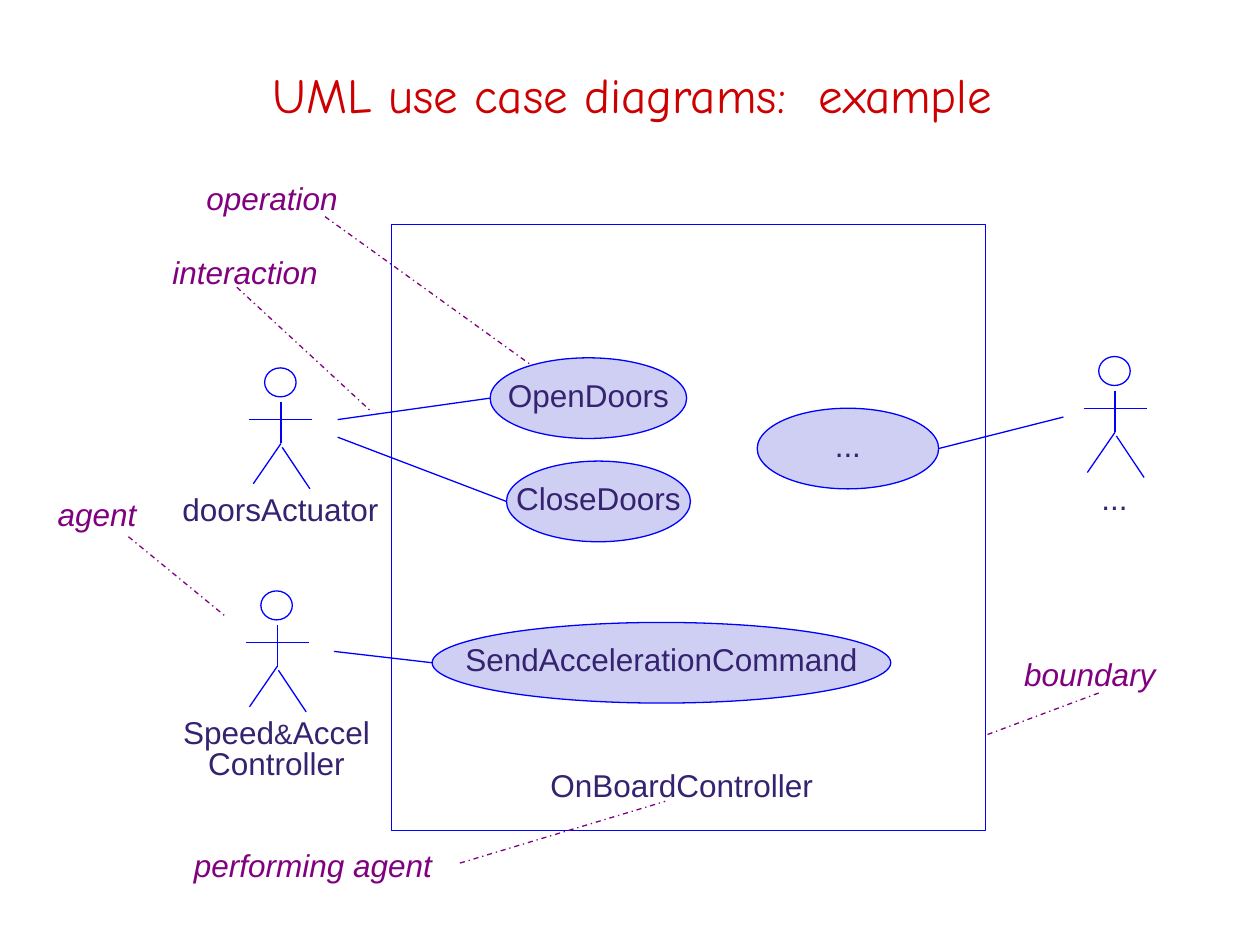
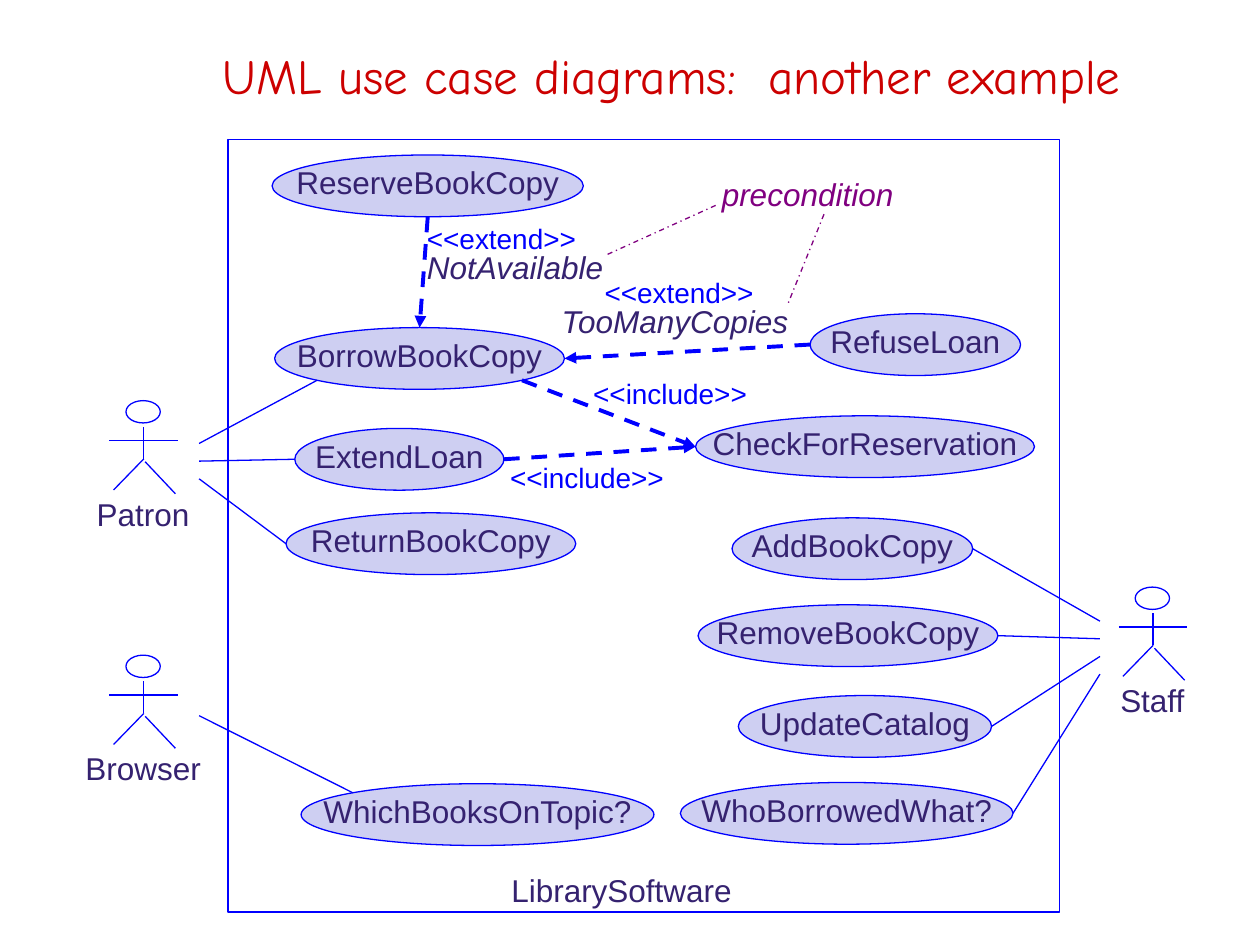
"""Build two slides of UML use case diagrams."""
import math
from lxml import etree
from pptx import Presentation, util as u
from pptx.dml import color
from pptx.enum import dml, shapes, text
from pptx.oxml import ns

COLORS = {
    "title": "CC0000",
    "line": "0000FF",
    "case": "CECFF2",
    "name": "352270",
    "note": "800080",
}
STYLES = {
    "title": ("Comic Neue", 28, "title", False),
    "name": ("Arial", 18, "name", False),
    "ampersand": ("Arial", 16, "name", False),
    "condition": ("Arial", 18, "name", True),
    "stereotype": ("Arial", 16, "line", False),
    "note": ("Arial", 18, "note", True),
}
THIN = 0.75
LINKS = {
    "interaction": ("line", THIN, None, False),
    "dependency": ("line", 2.25, dml.MSO_LINE.DASH, True),
    "note": ("note", THIN, dml.MSO_LINE.DASH_DOT, False),
}
SITES = ["right", "bottom right", "bottom", "bottom left", "left", "top left", "top", "top right"]
HEAD_SIZE = (0.25, 0.23)
LIMBS = [
    (0.13, 0.27, 0.13, 0.6),
    (0.13, 0.6, -0.09, 0.92),
    (0.14, 0.63, 0.36, 0.96),
    (-0.12, 0.41, 0.38, 0.41),
]
REACH = {"left": 0.58, "right": -0.28}
FAN_MIDDLE, FAN_STEP = 0.48, 0.14
TITLE_RIGHT = 9.75

DIAGRAMS = [
    {
        "title": ("UML use case diagrams:  example", 0.29, 0.28),
        "boundary": (3.11, 1.78, 4.71, 4.81),
        "actor_scale": (1, 1),
        "case_height": 0.64,
        "cases": {
            "OpenDoors": (3.89, 2.84, 1.56),
            "CloseDoors": (4.02, 3.66, 1.46),
            "...": (6.01, 3.24, 1.44),
            "SendAccelerationCommand": (3.43, 4.94, 3.64),
        },
        "actors": [
            ([[("doorsActuator", "name")]], 2.1, 2.92, "left", ["OpenDoors", "CloseDoors"]),
            ([[("Speed", "name"), ("&", "ampersand"), ("Accel", "name")],
              [("Controller", "name")]], 2.07, 4.69, "left", ["SendAccelerationCommand"]),
            ([[("...", "name")]], 8.72, 2.83, "right", ["..."]),
        ],
        "dependencies": [],
        "labels": [
            ("OnBoardController", "name", 4.27, 6.09),
            ("boundary", "note", 8.03, 5.21),
            ("interaction", "note", 1.27, 2.02),
            ("operation", "note", 1.54, 1.43),
            ("agent", "note", 0.36, 3.94),
            ("performing agent", "note", 1.44, 6.72),
        ],
        "note_lines": [
            (8.72, 5.5, 7.81, 5.84),
            (1.88, 2.28, 2.94, 3.26),
            (2.58, 1.72, 4.22, 2.9),
            (1.02, 4.26, 1.8, 4.9),
            (3.65, 6.85, 5.28, 6.36),
        ],
    },
    {
        "title": ("UML use case diagrams:  another example", 0.91, 0.13),
        "boundary": (1.81, 1.11, 6.6, 6.13),
        "actor_scale": (1.09, 0.77),
        "case_height": 0.49,
        "cases": {
            "ReserveBookCopy": (2.16, 1.23, 2.47),
            "BorrowBookCopy": (2.18, 2.6, 2.3),
            "ExtendLoan": (2.34, 3.4, 1.66),
            "ReturnBookCopy": (2.27, 4.07, 2.3),
            "WhichBooksOnTopic?": (2.39, 6.22, 2.8),
            "RefuseLoan": (6.43, 2.49, 1.67),
            "CheckForReservation": (5.52, 3.3, 2.69),
            "AddBookCopy": (5.81, 4.11, 1.91),
            "RemoveBookCopy": (5.54, 4.8, 2.38),
            "UpdateCatalog": (5.86, 5.52, 2.01),
            "WhoBorrowedWhat?": (5.4, 6.21, 2.64),
        },
        "actors": [
            ([[("Patron", "name")]], 1, 3.18, "left",
             ["BorrowBookCopy bottom", "ExtendLoan", "ReturnBookCopy"]),
            ([[("Browser", "name")]], 1, 5.2, "left", ["WhichBooksOnTopic? top"]),
            ([[("Staff", "name")]], 9.01, 4.66, "right",
             ["AddBookCopy", "RemoveBookCopy", "UpdateCatalog", "WhoBorrowedWhat?"]),
        ],
        "dependencies": [
            ("ReserveBookCopy", "bottom", "BorrowBookCopy", "top"),
            ("RefuseLoan", "left", "BorrowBookCopy", "right"),
            ("BorrowBookCopy", "bottom right", "CheckForReservation", "left"),
            ("ExtendLoan", "right", "CheckForReservation", "left"),
        ],
        "labels": [
            ("LibrarySoftware", "name", 3.96, 6.92),
            ("<<extend>>", "stereotype", 3.29, 1.76),
            ("NotAvailable", "condition", 3.29, 1.98),
            ("<<extend>>", "stereotype", 4.7, 2.19),
            ("TooManyCopies", "condition", 4.36, 2.41),
            ("<<include>>", "stereotype", 4.61, 2.99),
            ("<<include>>", "stereotype", 3.95, 3.66),
            ("precondition", "note", 5.63, 1.4),
        ],
        "note_lines": [(6.54, 1.7, 6.25, 2.42), (5.68, 1.63, 4.82, 2.02)],
    },
]


def inches(*lengths):
    return [u.Inches(length) for length in lengths]


def rgb(name):
    return color.RGBColor.from_string(COLORS[name])


def write_lines(frame, lines, alignment, spacing=0.8):
    for index, runs in enumerate(lines):
        paragraph = frame.add_paragraph() if index else frame.paragraphs[0]
        paragraph.line_spacing = spacing
        paragraph.alignment = alignment
        for words, style in runs:
            run = paragraph.add_run()
            run.text = words
            font_name, size, color_name, italic = STYLES[style]
            run.font.name = font_name
            run.font.size = u.Pt(size)
            run.font.italic = italic
            run.font.color.rgb = rgb(color_name)


def add_text(slide, box, lines, alignment=text.PP_ALIGN.LEFT, spacing=0.8):
    frame = slide.shapes.add_textbox(*inches(*box)).text_frame
    frame.word_wrap = True
    write_lines(frame, lines, alignment, spacing)
    return frame


def add_title(slide, words, left, top):
    box = (left, top, TITLE_RIGHT - left, 0.83)
    frame = add_text(slide, box, [[(words, "title")]], text.PP_ALIGN.CENTER, 1.2)
    frame.vertical_anchor = text.MSO_ANCHOR.MIDDLE


def add_label(slide, words, style, left, top):
    add_text(slide, (left, top, 0.2 + 0.14 * len(words), 0.3), [[(words, style)]])


def add_outline(slide, kind, box, fill=None):
    shape = slide.shapes.add_shape(kind, *inches(*box))
    shape.shadow.inherit = False
    shape.line.color.rgb = rgb("line")
    shape.line.width = u.Pt(THIN)
    if fill:
        shape.fill.solid()
        shape.fill.fore_color.rgb = rgb(fill)
    else:
        shape.fill.background()
    return shape


def add_link(slide, ends, kind):
    color_name, width, dash, arrow = LINKS[kind]
    link = slide.shapes.add_connector(shapes.MSO_CONNECTOR.STRAIGHT, *inches(*ends))
    link.line.color.rgb = rgb(color_name)
    link.line.width = u.Pt(width)
    if dash:
        link.line.dash_style = dash
    if arrow:
        etree.SubElement(link.line._get_or_add_ln(), ns.qn("a:tailEnd"), type="triangle")
    etree.SubElement(link._element.spPr, ns.qn("a:effectLst"))


def add_case(slide, name, box):
    frame = add_outline(slide, shapes.MSO_SHAPE.OVAL, box, "case").text_frame
    frame.word_wrap = False
    frame.vertical_anchor = text.MSO_ANCHOR.MIDDLE
    write_lines(frame, [[(name, "name")]], text.PP_ALIGN.CENTER)


def site_point(box, site):
    left, top, width, height = box
    angle = SITES.index(site) * math.pi / 4
    return (left + width * (1 + math.cos(angle)) / 2,
            top + height * (1 + math.sin(angle)) / 2)


def add_actor(slide, lines, left, top, scale):
    across, down = scale
    head_width, head_height = HEAD_SIZE[0] * across, HEAD_SIZE[1] * down
    add_outline(slide, shapes.MSO_SHAPE.OVAL, (left, top, head_width, head_height))
    for x1, y1, x2, y2 in LIMBS:
        ends = (left + x1 * across, top + y1 * down, left + x2 * across, top + y2 * down)
        add_link(slide, ends, "interaction")
    label_width = 2
    label_left = left + (head_width - label_width) / 2
    box = (label_left, top + 0.98 * down, label_width, 0.3 * len(lines))
    add_text(slide, box, lines, text.PP_ALIGN.CENTER)


def add_interactions(slide, left, top, side, targets, boxes):
    first = FAN_MIDDLE - FAN_STEP * (len(targets) - 1) / 2
    for index, target in enumerate(targets):
        name, _, edge = target.partition(" ")
        start = (left + REACH[side], top + first + index * FAN_STEP)
        end = site_point(boxes[name], f"{edge} {side}".strip())
        add_link(slide, start + end, "interaction")


def add_diagram(presentation, diagram):
    slide = presentation.slides.add_slide(presentation.slide_layouts[6])
    add_title(slide, *diagram["title"])
    add_outline(slide, shapes.MSO_SHAPE.RECTANGLE, diagram["boundary"])
    boxes = {name: place + (diagram["case_height"],) for name, place in diagram["cases"].items()}
    for name, box in boxes.items():
        add_case(slide, name, box)
    for lines, left, top, side, targets in diagram["actors"]:
        add_actor(slide, lines, left, top, diagram["actor_scale"])
        add_interactions(slide, left, top, side, targets, boxes)
    for source, source_site, target, target_site in diagram["dependencies"]:
        ends = site_point(boxes[source], source_site) + site_point(boxes[target], target_site)
        add_link(slide, ends, "dependency")
    for label in diagram["labels"]:
        add_label(slide, *label)
    for ends in diagram["note_lines"]:
        add_link(slide, ends, "note")


def main():
    presentation = Presentation()
    presentation.slide_width, presentation.slide_height = inches(10, 7.5)
    for diagram in DIAGRAMS:
        add_diagram(presentation, diagram)
    presentation.save("out.pptx")


if __name__ == "__main__":
    main()
